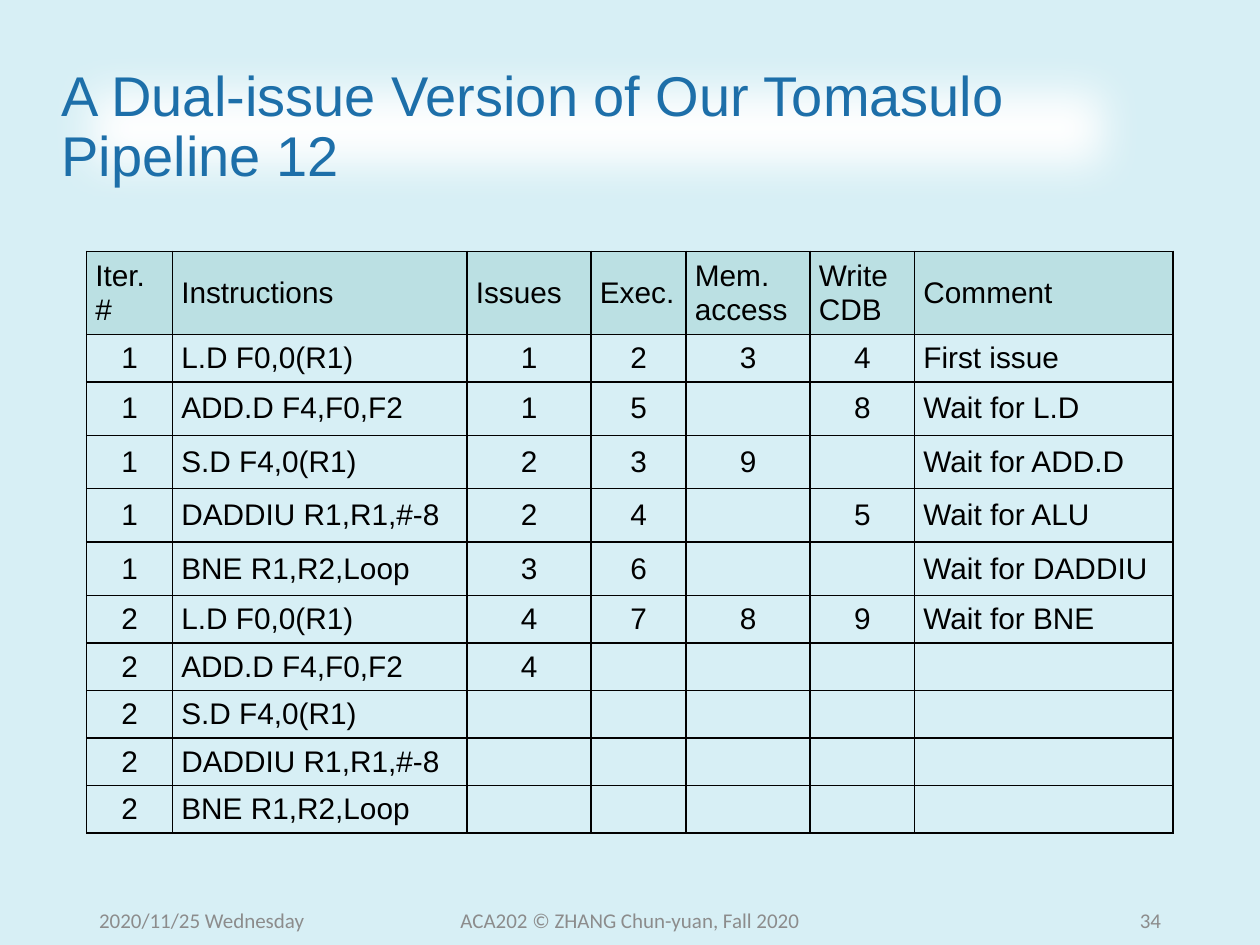
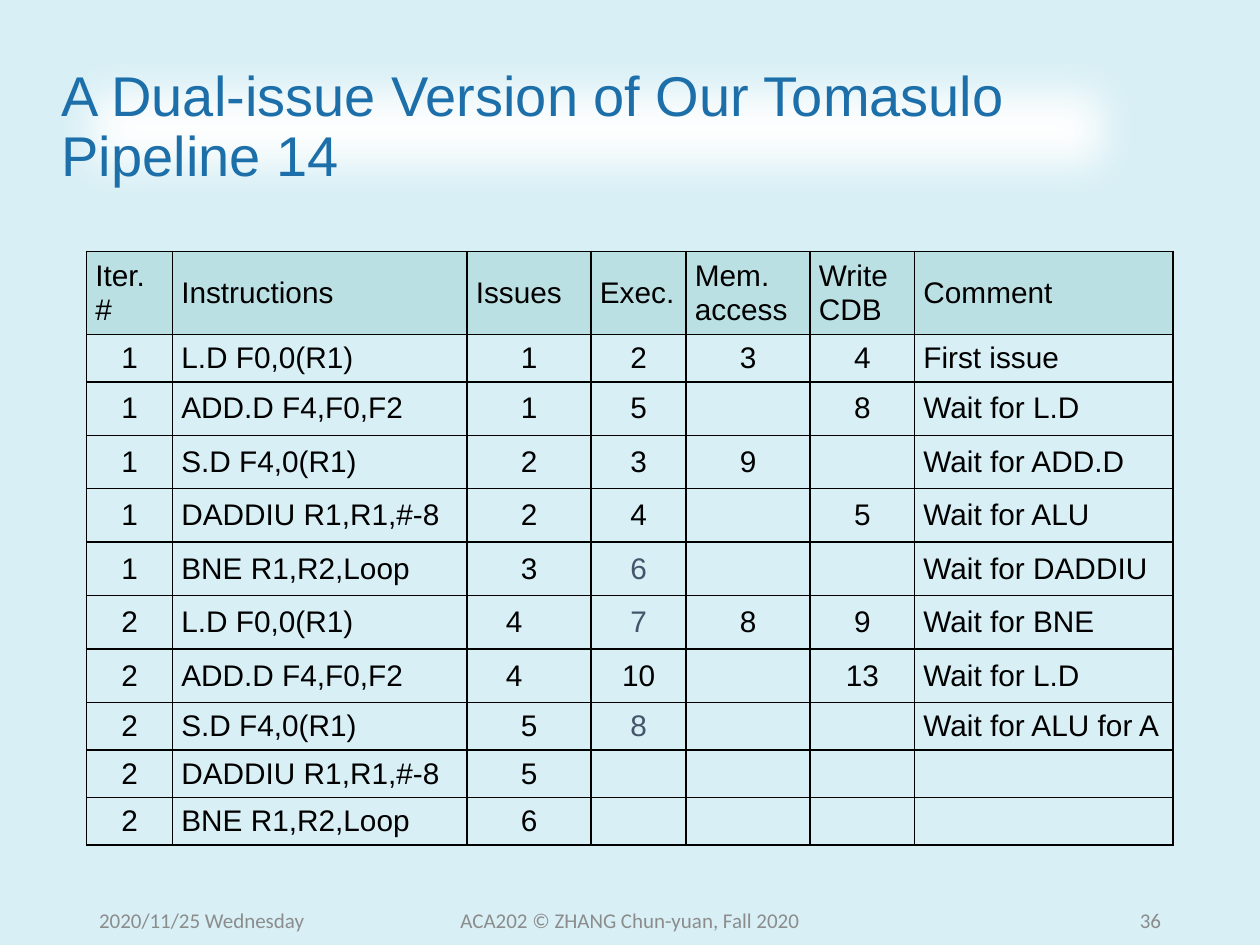
from lxml import etree
from pptx import Presentation
from pptx.dml.color import RGBColor
from pptx.enum.text import MSO_ANCHOR, MSO_AUTO_SIZE, PP_ALIGN
from pptx.oxml.ns import qn
from pptx.util import Pt

LEFT, CENTER, RIGHT = PP_ALIGN.LEFT, PP_ALIGN.CENTER, PP_ALIGN.RIGHT
JUSTIFY = PP_ALIGN.JUSTIFY
MIDDLE = MSO_ANCHOR.MIDDLE
NO_AUTOFIT = MSO_AUTO_SIZE.NONE

COLORS = {
    "background": "D7EFF5", "title": "1D6FA9", "band": "FFFFFF",
    "header": "BBE0E3", "text": "000000", "muted": "44546A",
    "footer": "8C8C8C",
}
FORMATS = {
    "title": {"name": "Arial", "size": Pt(32), "bold": False},
    "table": {"name": "Arial", "size": Pt(17), "bold": False},
    "footer": {"name": "Calibri", "size": Pt(12), "bold": False},
}
CELL_MARGINS = {"margin_left": 5, "margin_top": 2.9,
                "margin_right": 5, "margin_bottom": 2.9}

# Table layout, in points
COLUMN_WIDTHS = [49.1, 168.3, 70.9, 54.3, 70.9, 59.7, 147.7]
HEADER_HEIGHT, ROW_HEIGHT, TALL_ROW_HEIGHT = 47.4, 27.15, 30.55
TEXT_COLUMNS = (1, 6)
SHIFTED_MARGIN = 22

# Table content
HEADER = ["Iter. #", "Instructions", "Issues", "Exec.", "Mem. access",
          "Write CDB", "Comment"]
INSTRUCTIONS = ["L.D F0,0(R1)", "ADD.D F4,F0,F2", "S.D F4,0(R1)",
                "DADDIU R1,R1,#-8", "BNE R1,R2,Loop"]
FIRST_ITERATION = [
    ["1", "2", "3", "4", "First issue"],
    ["1", "5", "", "8", "Wait for L.D"],
    ["2", "3", "9", "", "Wait for ADD.D"],
    ["2", "4", "", "5", "Wait for ALU"],
    ["3", "6", "", "", "Wait for DADDIU"],
]
SECOND_LOAD = ["4", "7", "8", "9", "Wait for BNE"]
NO_TIMING = [""] * 5
PAGES = [
    {"step": 12, "number": 34, "tall": {2, 3, 4, 5},
     "muted": set(), "shifted": set(),
     "second": [SECOND_LOAD, ["4", "", "", "", ""]] + [NO_TIMING] * 3},
    {"step": 14, "number": 36, "tall": {2, 3, 4, 5, 6, 7},
     "muted": {(5, 3), (6, 3), (8, 3)}, "shifted": {(6, 2), (7, 2)},
     "second": [SECOND_LOAD,
                ["4", "10", "", "13", "Wait for L.D"],
                ["5", "8", "", "", "Wait for ALU for A"],
                ["5", "", "", "", ""],
                ["6", "", "", "", ""]]},
]


def rgb(color):
    return RGBColor.from_string(COLORS[color])


class Deck:
    def __init__(self):
        self.presentation = Presentation()
        self.presentation.slide_width = Pt(720)
        self.presentation.slide_height = Pt(540)
        fill = self.presentation.slide_master.background.fill
        fill.solid()
        fill.fore_color.rgb = rgb("background")
        self.slide = None

    def add_slide(self):
        title_only = self.presentation.slide_layouts[5]
        self.slide = self.presentation.slides.add_slide(title_only)

    def set_text(self, frame, text, style, color, alignment):
        paragraph = frame.paragraphs[0]
        paragraph.alignment = alignment
        font = paragraph.font
        if text:
            run = paragraph.add_run()
            run.text = text
            font = run.font
        for name, value in FORMATS[style].items():
            setattr(font, name, value)
        font.color.rgb = rgb(color)
        return paragraph

    def title(self, text):
        shape = self.slide.shapes.title
        box = {"left": 28, "top": 29, "width": 625.7, "height": 88.5}
        for name, value in box.items():
            setattr(shape, name, Pt(value))
        # White band with soft edges
        shape.fill.solid()
        shape.fill.fore_color.rgb = rgb("band")
        shape.shadow.inherit = False
        effects = shape.element.spPr.find(qn("a:effectLst"))
        etree.SubElement(effects, qn("a:softEdge"), rad=str(Pt(25)))
        frame = shape.text_frame
        frame.auto_size = NO_AUTOFIT
        frame.vertical_anchor = MIDDLE
        paragraph = self.set_text(frame, text, "title", "title", LEFT)
        paragraph.line_spacing = 0.9

    def footer(self, text, left, width, alignment):
        box = self.slide.shapes.add_textbox(Pt(left), Pt(511.2),
                                            Pt(width), Pt(28.8))
        frame = box.text_frame
        frame.word_wrap = True
        frame.vertical_anchor = MIDDLE
        self.set_text(frame, text, "footer", "footer", alignment)

    def border(self, cell):
        properties = cell._tc.get_or_add_tcPr()
        for index, side in enumerate(("lnL", "lnR", "lnT", "lnB")):
            line = etree.Element(qn("a:" + side), w=str(Pt(1)))
            fill = etree.SubElement(line, qn("a:solidFill"))
            etree.SubElement(fill, qn("a:srgbClr"), val=COLORS["text"])
            properties.insert(index, line)

    def table(self, rows, tall, muted, shifted):
        heights = [HEADER_HEIGHT] + [
            TALL_ROW_HEIGHT if row in tall else ROW_HEIGHT
            for row in range(1, len(rows))]
        table = self.slide.shapes.add_table(
            len(rows), len(HEADER), Pt(49.5), Pt(143.7),
            Pt(sum(COLUMN_WIDTHS)), Pt(sum(heights))).table
        table.first_row = table.horz_banding = False
        for column, width in zip(table.columns, COLUMN_WIDTHS):
            column.width = Pt(width)
        for row, height in zip(table.rows, heights):
            row.height = Pt(height)
        for row, values in enumerate(rows):
            for column, text in enumerate(values):
                cell = table.cell(row, column)
                place = (row, column)
                for name, value in CELL_MARGINS.items():
                    setattr(cell, name, Pt(value))
                if place in shifted:
                    cell.margin_right = Pt(SHIFTED_MARGIN)
                cell.vertical_anchor = MIDDLE
                if row == 0:
                    cell.fill.solid()
                    cell.fill.fore_color.rgb = rgb("header")
                else:
                    cell.fill.background()
                self.border(cell)
                is_text = row == 0 or column in TEXT_COLUMNS
                self.set_text(cell.text_frame, text, "table",
                              "muted" if place in muted else "text",
                              JUSTIFY if is_text else CENTER)


deck = Deck()
for page in PAGES:
    deck.add_slide()
    deck.title(f"A Dual-issue Version of Our Tomasulo Pipeline {page['step']}")

    # Timing of both loop iterations
    rows = [HEADER]
    for iteration, timings in enumerate((FIRST_ITERATION, page["second"]), 1):
        for instruction, timing in zip(INSTRUCTIONS, timings):
            rows.append([str(iteration), instruction] + timing)
    deck.table(rows, page["tall"], page["muted"], page["shifted"])

    # Footer line
    deck.footer("2020/11/25 Wednesday", 49.5, 162, LEFT)
    deck.footer("ACA202 © ZHANG Chun-yuan, Fall 2020", 238.5, 243, CENTER)
    deck.footer(str(page["number"]), 508.5, 162, RIGHT)

deck.presentation.save("out.pptx")
